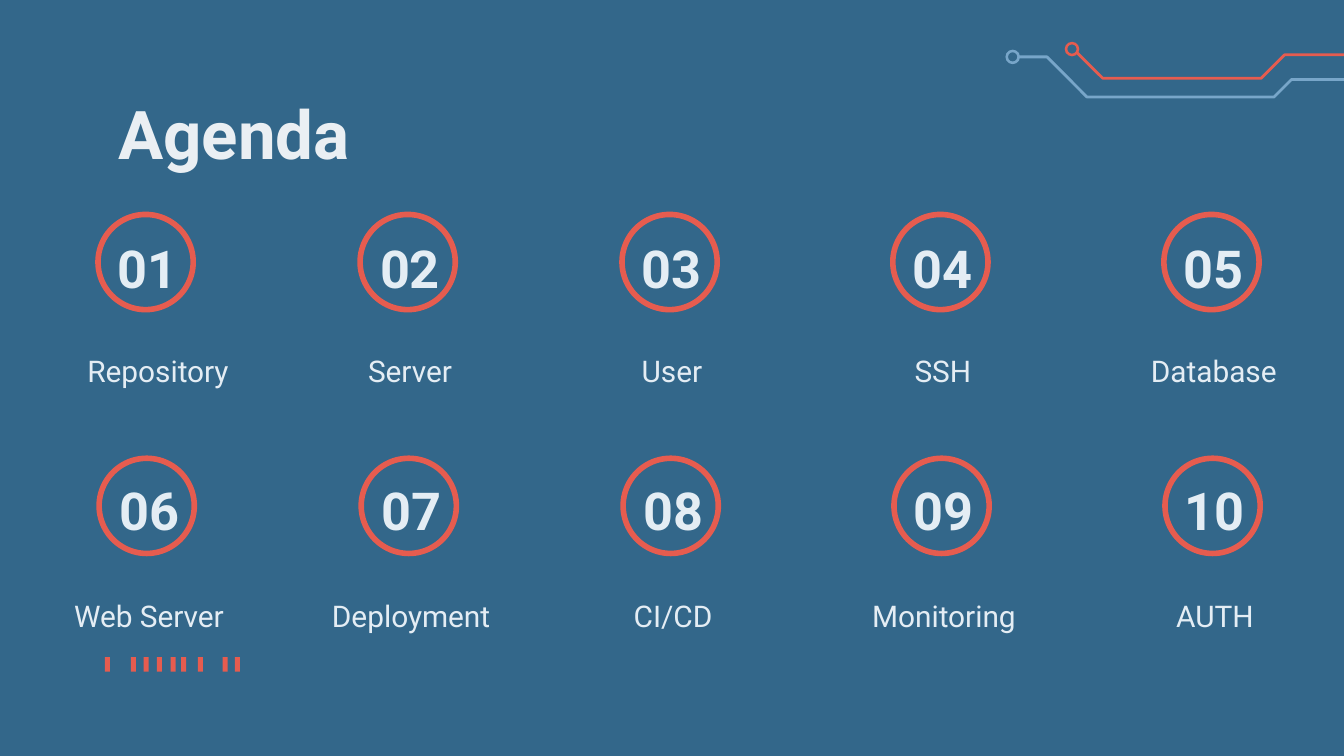
"""Build the agenda slide: ten numbered topics in two rows."""
import pptx
import pptx.dml.color
import pptx.enum.shapes
import pptx.enum.text
import pptx.util

Pt = pptx.util.Pt
Kind = pptx.enum.shapes.MSO_SHAPE
Anchor = pptx.enum.text.MSO_ANCHOR
Align = pptx.enum.text.PP_ALIGN
RED, BLUE, PALE = "E65C4F", "78A6C9", "E4EDF4"


def paint(color, tone):
    color.rgb = pptx.dml.color.RGBColor.from_string(tone)


def write(box, text, size, tone, bold, align, anchor):
    left, top, width, height = box
    frame = slide.shapes.add_textbox(Pt(left), Pt(top), Pt(width), Pt(height)).text_frame
    frame.word_wrap = True
    frame.vertical_anchor = anchor
    frame.margin_left = frame.margin_right = Pt(7.2)
    frame.margin_top = frame.margin_bottom = Pt(7.2)
    line = frame.paragraphs[0]
    line.alignment = align
    run = line.add_run()
    run.text = text
    run.font.name = "Roboto"
    run.font.size = Pt(size)
    run.font.bold = bold
    paint(run.font.color, tone)
    return line


deck = pptx.Presentation()
deck.slide_width, deck.slide_height = Pt(720), Pt(405)
slide = deck.slides.add_slide(deck.slide_layouts[6])
slide.background.fill.solid()
paint(slide.background.fill.fore_color, "33678A")

traces = [
    (BLUE, (538.6, 26.6), [(545.8, 30.5), (560.9, 30.5), (582.3, 52), (682.5, 52),
                           (691.9, 42.6), (766, 42.6), (775.7, 52), (872.6, 52)]),
    (RED, (570.4, 22.4), [(576.7, 28), (590.8, 42), (675.6, 42), (688.2, 29.4),
                          (773, 29.4), (783.8, 40.3), (872.6, 40.3)]),
]
for tone, (left, top), route in traces:
    points = [(Pt(x), Pt(y)) for x, y in route]
    pen = slide.shapes.build_freeform(*points[0])
    pen.add_line_segments(points[1:], close=False)
    trace = pen.convert_to_shape()
    trace.shadow.inherit = False
    trace.fill.background()
    trace.line.width = Pt(1.5)
    paint(trace.line.color, tone)
    node = slide.shapes.add_shape(Kind.DONUT, Pt(left), Pt(top), Pt(7.8), Pt(7.8))
    node.adjustments[0] = 0.18
    node.shadow.inherit = False
    node.fill.solid()
    paint(node.fill.fore_color, tone)
    node.line.fill.background()

for left in (56.2, 70.1, 77, 84, 91.4, 97, 106, 119.3, 125.8):
    bar = slide.shapes.add_shape(Kind.RECTANGLE, Pt(left), Pt(352.1), Pt(2.7), Pt(7.8))
    bar.shadow.inherit = False
    bar.fill.solid()
    paint(bar.fill.fore_color, RED)
    bar.line.fill.background()

write((56.2, 42.5, 611.3, 48.2), "Agenda", 36, "EAEFF3", True, Align.LEFT, Anchor.TOP)

cols = (52.5, 192.9, 333.2, 478.3, 623.5)
rows = [
    (0, 114.9, 119.5, 180.7, ["Repository", "Server", "User", "SSH", "Database"]),
    (0.6, 245.5, 249.1, 311.8, ["Web Server", "Deployment", "CI/CD", "Monitoring", "AUTH"]),
]
count = 0
for shift, top, mid, low, topics in rows:
    for col, topic in zip(cols, topics):
        count += 1
        left = col + shift
        ring = slide.shapes.add_shape(Kind.OVAL, Pt(left), Pt(top), Pt(51), Pt(51))
        ring.shadow.inherit = False
        ring.fill.background()
        ring.line.width = Pt(3)
        paint(ring.line.color, RED)
        write((left - 53.2, mid, 160, 48.2), f"{count:02}", 28, PALE, True,
              Align.CENTER, Anchor.MIDDLE)
        label = write((left - 53.2, low, 160, 34.6), topic, 16, PALE, False,
                      Align.CENTER, Anchor.BOTTOM)
        if count == 1:
            props = label._p.get_or_add_pPr()
            props.set("marL", str(Pt(36)))
            props.set("indent", str(Pt(-25.2)))

deck.save("out.pptx")
